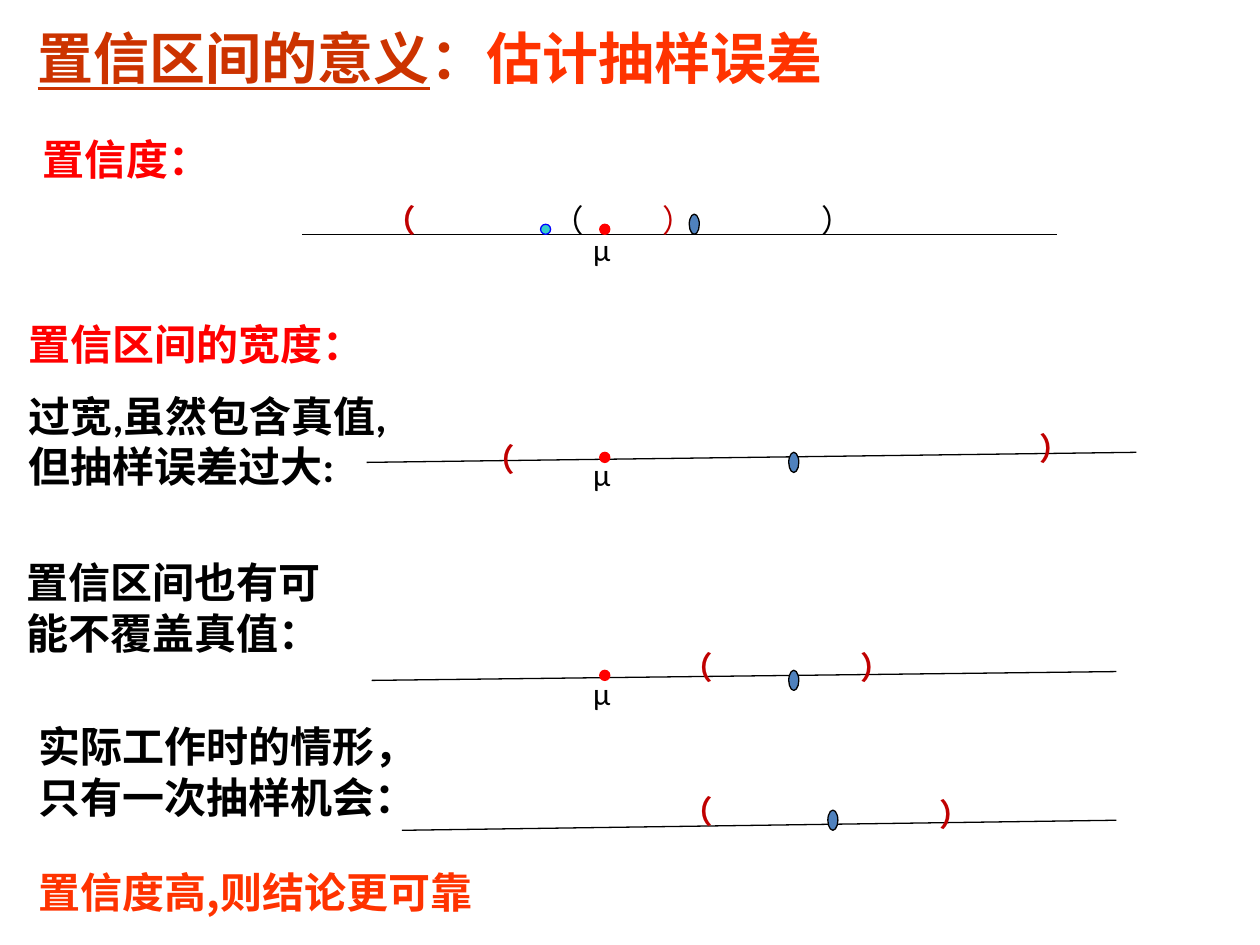
import pptx
import pptx.dml.color
import pptx.enum.shapes
import pptx.enum.text
import pptx.util
from lxml import etree
from pptx.util import Inches

BLACK, RED, DARK_RED, ORANGE = "000000", "FF0000", "C00000", "FF3300"
BLUE = "4F81BD"
BODY_FONT, TITLE_FONT = "Calibri", "Noto Sans CJK SC"


def color(hex_text):
    return pptx.dml.color.RGBColor.from_string(hex_text)


class SlideBuilder:
    line_width = pptx.util.Pt(0.75)

    def __init__(self, slide):
        self.slide = slide

    def text(self, left, top, width, height, paragraphs, size, bold=True, font=BODY_FONT):
        """Add a text box; each paragraph is a list of (text, color, underline) runs."""
        box = self.slide.shapes.add_textbox(
            Inches(left), Inches(top), Inches(width), Inches(height))
        frame = box.text_frame
        frame.word_wrap = True
        frame.auto_size = pptx.enum.text.MSO_AUTO_SIZE.SHAPE_TO_FIT_TEXT
        for index, runs in enumerate(paragraphs):
            paragraph = frame.add_paragraph() if index else frame.paragraphs[0]
            if index:
                paragraph.space_before = pptx.util.Pt(size / 2)
            paragraph.font.name = font
            paragraph.font.size = pptx.util.Pt(size)
            paragraph.font.bold = bold
            for content, run_color, underline in runs:
                run = paragraph.add_run()
                run.text = content
                run.font.color.rgb = color(run_color)
                if underline:
                    run.font.underline = True

    def symbol(self, content, left, top, text_color=DARK_RED, bold=True, width=0.63):
        self.text(left, top, width, 0.4, [[(content, text_color, False)]], 18, bold)

    def axis(self, left, left_y, right, right_y):
        line = self.slide.shapes.add_connector(
            pptx.enum.shapes.MSO_CONNECTOR.STRAIGHT,
            Inches(left), Inches(left_y), Inches(right), Inches(right_y))
        line.line.color.rgb = color(BLACK)
        line.line.width = self.line_width
        properties = line._element.spPr
        etree.SubElement(properties, pptx.oxml.ns.qn("a:effectLst"))

    def dot(self, left, top, height=0.08, fill=RED, outline=RED):
        shape = self.slide.shapes.add_shape(
            pptx.enum.shapes.MSO_SHAPE.OVAL,
            Inches(left), Inches(top), Inches(0.08), Inches(height))
        shape.shadow.inherit = False
        shape.fill.solid()
        shape.fill.fore_color.rgb = color(fill)
        shape.line.color.rgb = color(outline)
        shape.line.width = self.line_width

    def estimate(self, left, top):
        """Mark a sample estimate with a tall blue oval."""
        self.dot(left, top, 0.16, BLUE, BLACK)

    def true_mean(self, dot_top, label_top):
        self.dot(4.76, dot_top)
        self.symbol("μ", 4.61, label_top, BLACK, False, 1.42)


def main():
    presentation = pptx.Presentation()
    presentation.slide_width, presentation.slide_height = Inches(10), Inches(7.5)
    builder = SlideBuilder(presentation.slides.add_slide(presentation.slide_layouts[6]))

    # Two overlapping intervals around the true mean
    builder.axis(2.4, 1.86, 8.39, 1.86)
    builder.true_mean(1.78, 1.78)
    builder.symbol("（", 4.29, 1.55, BLACK, False)
    builder.symbol("）", 6.42, 1.55, BLACK, False)
    builder.estimate(5.47, 1.7)
    builder.symbol("）", 5.16, 1.55, bold=False)
    builder.symbol("（", 2.95, 1.55)
    builder.dot(4.29, 1.78, fill="33CCCC", outline="0000FF")

    # Axis ends, (left, top) of both brackets, estimate, tops of the mean's dot and label
    intervals = [
        ((2.91, 3.67, 9.02, 3.59), (3.74, 3.44), (8.15, 3.36), (6.26, 3.59), (3.59, 3.56)),
        ((2.95, 5.4, 8.86, 5.33), (5.31, 5.09), (6.73, 5.09), (6.26, 5.32), (5.32, 5.3)),
        ((3.19, 6.59, 8.86, 6.51), (5.31, 6.24), (7.36, 6.26), (6.57, 6.43), None),
    ]
    for axis, opening, closing, estimate, mean in intervals:
        builder.axis(*axis)
        if mean:
            builder.true_mean(*mean)
        builder.symbol("（", *opening)
        builder.symbol("）", *closing)
        builder.estimate(*estimate)

    builder.text(0.2, 0.14, 8.58, 0.64, [[
        ("置信区间的意义", "CC3300", True),
        ("：", "CC3300", False),
        ("估计抽样误差", ORANGE, False),
    ]], 32, font=TITLE_FONT)
    builder.text(0.24, 1.01, 1.57, 0.5, [[("置信度：", RED, False)]], 24)
    builder.text(0.13, 2.48, 3.07, 1.51, [
        [("置信区间的宽度：", RED, False)],
        [("过宽,虽然包含真值,但抽样误差过大:", BLACK, False)],
    ], 24)
    builder.text(0.11, 4.37, 2.6, 0.91, [[("置信区间也有可能不覆盖真值：", BLACK, False)]], 24)
    builder.text(0.21, 5.67, 3.31, 0.91,
                 [[("实际工作时的情形，只有一次抽样机会：", BLACK, False)]], 24)
    builder.text(0.21, 6.83, 3.94, 0.5,
                 [[("置信度高,则结论更可靠", ORANGE, False)]], 24, font=TITLE_FONT)

    presentation.save("out.pptx")


if __name__ == "__main__":
    main()
